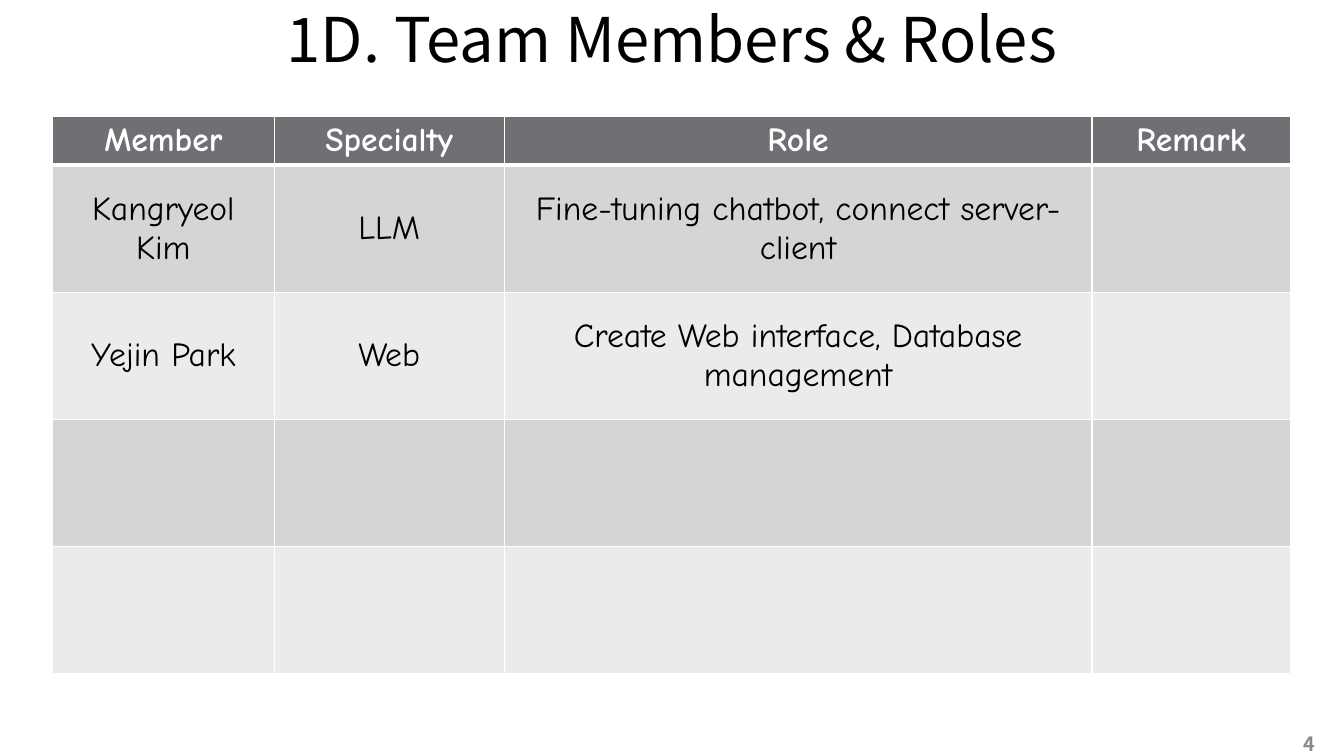
from lxml.etree import SubElement
from pptx import Presentation
from pptx.dml.color import RGBColor
from pptx.enum.text import MSO_ANCHOR, MSO_AUTO_SIZE, PP_ALIGN
from pptx.oxml.ns import qn
from pptx.util import Inches, Pt

THEME = {
    "head": "6F6F74", "bands": ["D5D5D6", "EBEBEB"], "rule": "FFFFFF",
    "title": {"name": "Noto Sans CJK KR", "size": Pt(44), "bold": False, "color": "000000"},
    "page": {"name": "Noto Sans CJK KR", "size": Pt(14), "bold": True, "color": "898989"},
    "label": {"name": "Comic Neue", "size": Pt(24), "bold": True, "color": "FFFFFF"},
    "body": {"name": "Comic Neue", "size": Pt(24), "bold": False, "color": "000000"},
}


def write(frame, text, style):
    frame.text = text
    line = frame.paragraphs[0]
    line.alignment = PP_ALIGN.CENTER
    font = line.runs[0].font if text else line.font
    for key, value in THEME[style].items():
        if key == "color":
            font.color.rgb = RGBColor.from_string(value)
        else:
            setattr(font, key, value)


def border(cell, side, width):
    line = SubElement(cell._tc.get_or_add_tcPr(), qn(f"a:ln{side}"), w=str(Pt(width)))
    fill = SubElement(line, qn("a:solidFill"))
    SubElement(fill, qn("a:srgbClr"), val=THEME["rule"])


deck = Presentation()
deck.slide_width, deck.slide_height = Inches(13.33), Inches(7.5)
slide = deck.slides.add_slide(deck.slide_layouts[5])

title = slide.shapes.title
place = {"left": 0, "top": 0, "width": 13.33, "height": 0.76}
for key, value in place.items():
    setattr(title, key, Inches(value))
write(title.text_frame, "1D. Team Members & Roles", "title")

page = slide.shapes.add_textbox(Inches(12.65), Inches(7.23), Inches(0.68), Inches(0.3))
write(page.text_frame, "4", "page")

for box in (title, page):
    frame = {"word_wrap": True, "auto_size": MSO_AUTO_SIZE.NONE, "vertical_anchor": MSO_ANCHOR.MIDDLE}
    for key, value in frame.items():
        setattr(box.text_frame, key, value)

rows = [
    ["Member", "Specialty", "Role", "Remark"],
    ["Kangryeol Kim", "LLM", "Fine-tuning chatbot, connect server-client", ""],
    ["Yejin Park", "Web", "Create Web interface, Database management", ""],
    [""] * 4,
    [""] * 4,
]
widths = [2.2, 2.28, 5.83, 1.97]
heights = [0.49] + [1.26] * 4
table = slide.shapes.add_table(
    len(rows), len(widths), Inches(0.52), Inches(1.15), Inches(sum(widths)), Inches(sum(heights))
).table
for column, width in zip(table.columns, widths):
    column.width = Inches(width)
for row, height in zip(table.rows, heights):
    row.height = Inches(height)

for r, row in enumerate(rows):
    head = r == 0
    shade = THEME["head"] if head else THEME["bands"][(r - 1) % 2]
    for c, text in enumerate(row):
        cell = table.cell(r, c)
        write(cell.text_frame, text, "label" if head else "body")
        cell.vertical_anchor = MSO_ANCHOR.TOP if head else MSO_ANCHOR.MIDDLE
        edges = {"L": 1, "R": 1, "T": 3 if r == 1 else 1, "B": 3 if head else 1}
        for side, width in edges.items():
            border(cell, side, width)
        cell.fill.solid()
        cell.fill.fore_color.rgb = RGBColor.from_string(shade)

deck.save("out.pptx")
